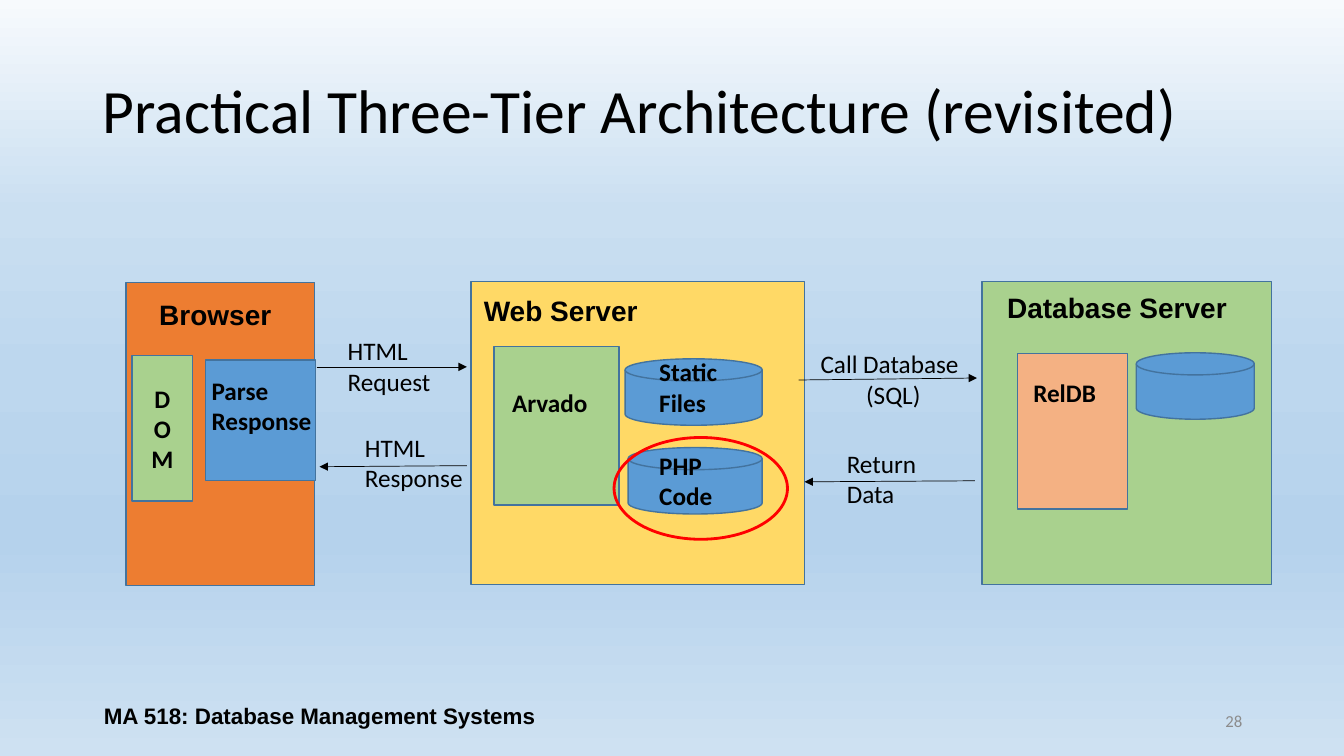
from lxml import etree
from pptx import Presentation
from pptx.dml.color import RGBColor
from pptx.enum.shapes import MSO_CONNECTOR, MSO_SHAPE
from pptx.enum.text import MSO_ANCHOR, PP_ALIGN
from pptx.oxml.ns import qn
from pptx.util import Inches, Pt

RECT, DISK, OVAL = MSO_SHAPE.RECTANGLE, MSO_SHAPE.FLOWCHART_MAGNETIC_DISK, MSO_SHAPE.OVAL
LEFT, CENTER, RIGHT = PP_ALIGN.LEFT, PP_ALIGN.CENTER, PP_ALIGN.RIGHT
TOP, MIDDLE = MSO_ANCHOR.TOP, MSO_ANCHOR.MIDDLE

BLACK = RGBColor(0x00, 0x00, 0x00)
GRAY = RGBColor(0x8C, 0x8C, 0x8C)
RED = RGBColor(0xFF, 0x00, 0x00)
ORANGE = RGBColor(0xED, 0x7D, 0x31)
YELLOW = RGBColor(0xFF, 0xD9, 0x66)
GREEN = RGBColor(0xA9, 0xD1, 0x8E)
PEACH = RGBColor(0xF4, 0xB1, 0x83)
BLUE = RGBColor(0x5B, 0x9B, 0xD5)
OUTLINE = RGBColor(0x43, 0x73, 0x9E)
SKY_STOPS = [
    (0, RGBColor(0xF7, 0xFA, 0xFD)),
    (28, RGBColor(0xCA, 0xDF, 0xF1)),
    (49, RGBColor(0xBD, 0xD7, 0xEE)),
    (71, RGBColor(0xB5, 0xD2, 0xEC)),
    (100, RGBColor(0xCE, 0xE1, 0xF2)),
]

HEADING = {"name": "Arial", "size": Pt(20), "bold": True}
PART = {"name": "Calibri", "size": Pt(18), "bold": True}
MESSAGE = {"name": "Calibri", "size": Pt(18)}


def write(tf, lines, font, aligns=(LEFT,), color=BLACK):
    """Put one paragraph per line; the last alignment serves all further lines."""
    for i, line in enumerate(lines):
        p = tf.paragraphs[0] if i == 0 else tf.add_paragraph()
        p.alignment = aligns[min(i, len(aligns) - 1)]
        r = p.add_run()
        r.text = line
        r.font.color.rgb = color
        for name, value in font.items():
            setattr(r.font, name, value)


def add_text(box, lines, font, aligns=(LEFT,), color=BLACK, anchor=TOP, wrap=True):
    tf = s.shapes.add_textbox(*map(Inches, box)).text_frame
    tf.word_wrap = wrap
    tf.vertical_anchor = anchor
    write(tf, lines, font, aligns, color)
    return tf


prs = Presentation()
prs.slide_width, prs.slide_height = Inches(13.33), Inches(7.5)
s = prs.slides.add_slide(prs.slide_layouts[6])

# Background gradient, light at the top
fill = s.background.fill
fill.gradient()
fill.gradient_angle = 270
stops = s.background._cSld.find(".//" + qn("a:gsLst"))
for stop in list(stops):
    stops.remove(stop)
for percent, color in SKY_STOPS:
    stop = etree.SubElement(stops, qn("a:gs"), pos=str(percent * 1000))
    etree.SubElement(stop, qn("a:srgbClr"), val=str(color))

# Title and footer
title = add_text((0.92, 0.4, 11.5, 1.45), ["Practical Three-Tier Architecture (revisited)"],
                 {"name": "Calibri", "size": Pt(44)}, anchor=MIDDLE)
title.paragraphs[0].line_spacing = 0.9
add_text((9.42, 6.95, 3, 0.4), ["28"], {"name": "Calibri", "size": Pt(12)},
         (RIGHT,), GRAY, MIDDLE)
add_text((0.92, 6.9, 4.5, 0.4), ["MA 518: Database Management Systems"],
         {"name": "Arial", "size": Pt(16), "bold": True}, (CENTER,), anchor=MIDDLE)

# Tiers, then the parts inside them, then the highlight
shapes = [
    (RECT, (1.25, 2.8, 1.87, 3.01), ORANGE, []),
    (RECT, (4.67, 2.79, 3.31, 3.01), YELLOW, []),
    (RECT, (9.74, 2.79, 2.87, 3.01), GREEN, []),
    (RECT, (2.04, 3.57, 1.09, 1.2), BLUE, []),
    (DISK, (6.2, 3.56, 1.36, 0.66), BLUE, []),
    (DISK, (6.23, 4.44, 1.33, 0.66), BLUE, []),
    (RECT, (10.09, 3.51, 1.09, 1.54), PEACH, []),
    (DISK, (11.27, 3.5, 1.17, 0.66), BLUE, []),
    (RECT, (4.9, 3.44, 1.24, 1.57), GREEN, []),
    (RECT, (1.31, 3.53, 0.6, 1.44), GREEN, ["D", "O", "M"]),
    (OVAL, (6.09, 4.34, 1.72, 1.01), None, []),
]
for kind, box, color, lines in shapes:
    sp = s.shapes.add_shape(kind, *map(Inches, box))
    sp.shadow.inherit = False
    if color is None:
        sp.fill.background()
        sp.line.color.rgb, sp.line.width = RED, Pt(2)
    else:
        sp.fill.solid()
        sp.fill.fore_color.rgb = color
        sp.line.color.rgb, sp.line.width = OUTLINE, Pt(1)
    sp.text_frame.vertical_anchor = MIDDLE
    write(sp.text_frame, lines, PART, (CENTER,))

# Headings, part names and messages
labels = [
    ((1.48, 2.9, 1.32, 0.44), ["Browser"], HEADING, (LEFT,), False),
    ((4.7, 2.86, 2.1, 0.44), ["Web Server"], HEADING, (LEFT,), True),
    ((9.89, 2.83, 2.56, 0.44), ["Database Server"], HEADING, (LEFT,), True),
    ((2, 3.67, 1.2, 0.71), ["Parse", "Response"], PART, (LEFT,), False),
    ((6.44, 3.49, 1, 0.71), ["Static", "Files"], PART, (LEFT,), True),
    ((6.44, 4.42, 1, 0.71), ["PHP", "Code"], PART, (LEFT,), True),
    ((10.15, 3.69, 0.94, 0.4), ["RelDB"], PART, (LEFT,), False),
    ((4.98, 3.79, 1.12, 0.4), ["Arvado"], PART, (LEFT,), True),
    ((3.35, 3.28, 1.03, 0.71), ["HTML", "Request"], MESSAGE, (LEFT,), False),
    ((3.52, 4.24, 1.18, 0.71), ["HTML", "Response"], MESSAGE, (LEFT,), False),
    ((8.04, 3.41, 1.64, 0.71), ["Call Database", "(SQL)"], MESSAGE, (LEFT, CENTER), True),
    ((8.3, 4.4, 1.15, 0.71), ["Return", "Data"], MESSAGE, (LEFT,), True),
]
for box, lines, font, aligns, wrap in labels:
    add_text(box, lines, font, aligns, wrap=wrap)

# Arrows between the tiers
arrows = [
    (3.14, 3.64, 4.63, 3.64),
    (4.63, 4.62, 3.17, 4.63),
    (7.92, 3.77, 9.69, 3.75),
    (9.67, 4.77, 7.98, 4.78),
]
for ends in arrows:
    arrow = s.shapes.add_connector(MSO_CONNECTOR.STRAIGHT, *map(Inches, ends))
    arrow.line.color.rgb, arrow.line.width = BLACK, Pt(0.5)
    etree.SubElement(arrow.line._get_or_add_ln(), qn("a:tailEnd"), type="triangle")
    etree.SubElement(arrow._element.spPr, qn("a:effectLst"))

prs.save("out.pptx")
